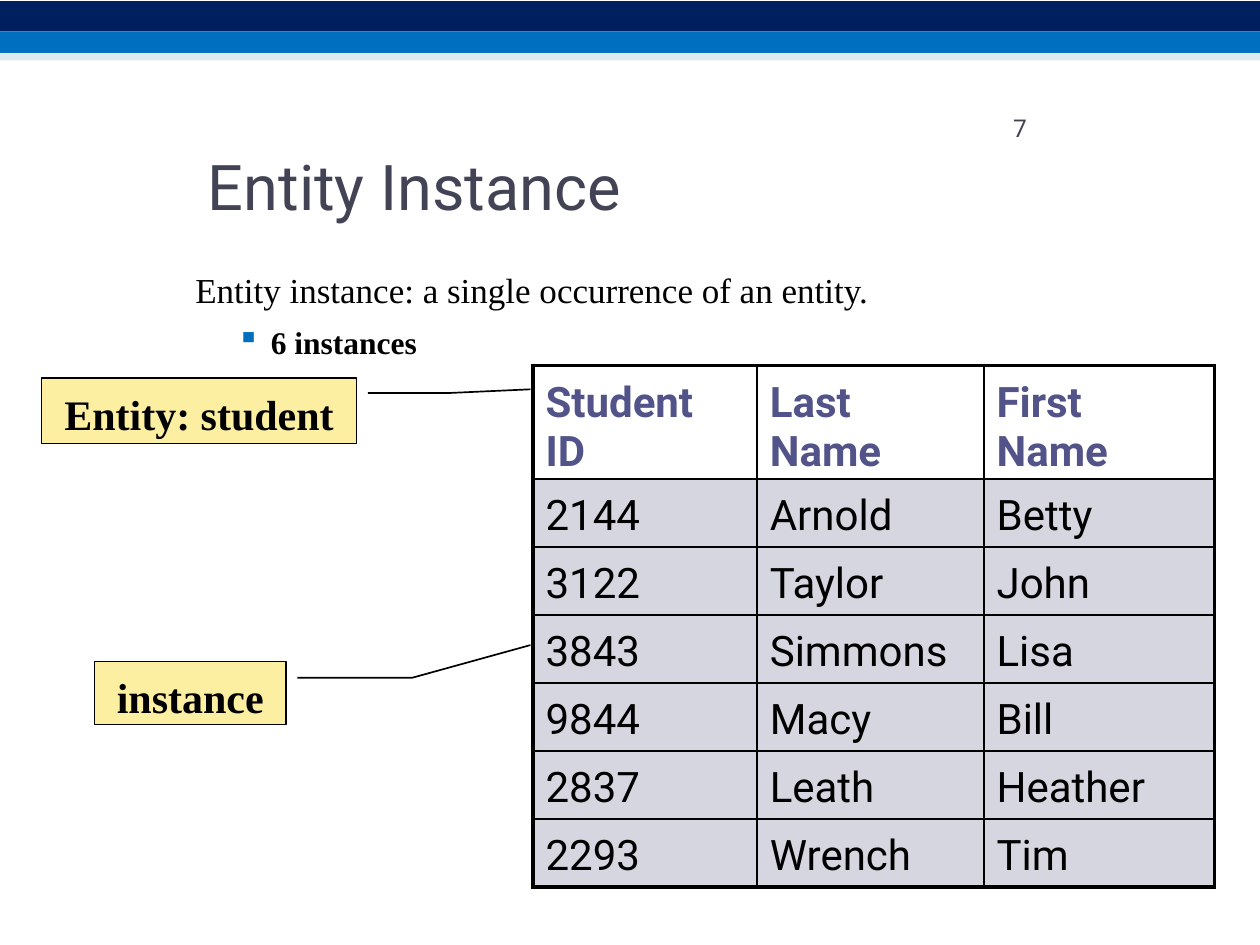
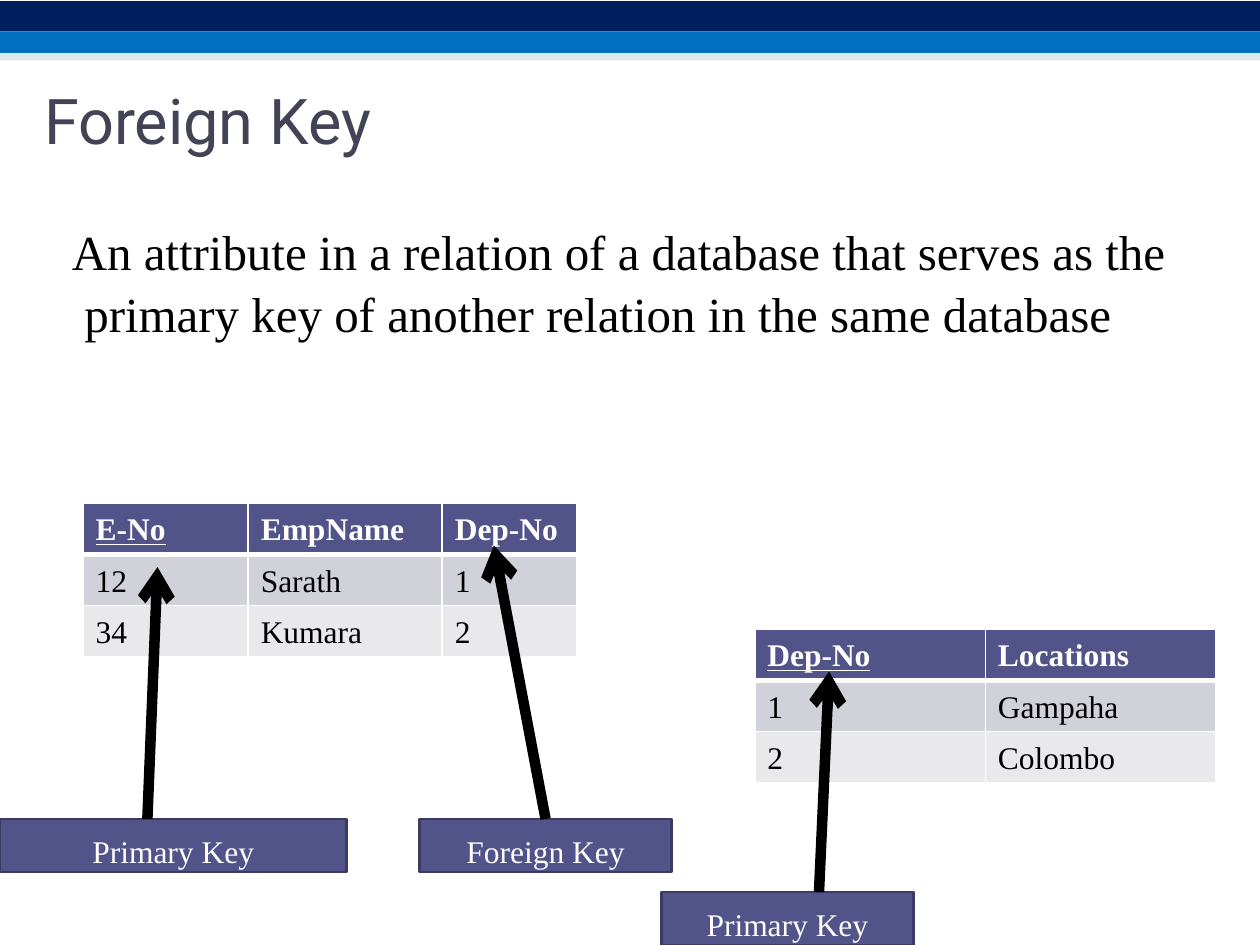
from lxml import etree
from pptx import Presentation
from pptx import util as u
from pptx.dml.color import RGBColor
from pptx.enum import shapes, text
from pptx.oxml.ns import qn

hues = {
    "navy": "001F5F", "blue": "006FC0", "pale": "BDD2E0", "ink": "424455",
    "black": "000000", "white": "FFFFFF", "plum": "525389", "edge": "3A3A63",
    "note": "FDEFA1", "grey": "D5D6DF", "dim": "D1D1DA", "light": "E9E9EC",
}
tint = {name: RGBColor.from_string(code) for name, code in hues.items()}
sans, serif = "Roboto", "Times New Roman"

deck = Presentation()
deck.slide_width, deck.slide_height = u.Inches(10), u.Inches(7.5)
cell_size = deck.slide_width / 100


def grid(*spans):
    return [u.Emu(round(span * cell_size)) for span in spans]


def write(frame, words, size, hue, face, bold=False, top=0.0, left=0.0):
    frame.word_wrap = True
    frame.vertical_anchor = text.MSO_ANCHOR.TOP
    frame.margin_left, frame.margin_top = grid(left, top)
    frame.margin_right = frame.margin_bottom = 0
    frame.text = words
    for line in frame.paragraphs:
        font = line.font
        font.size, font.name, font.bold = u.Pt(size), face, bold
        font.color.rgb = tint[hue]
    return frame.paragraphs[0]


bands = [("navy", 0.1, 2.4), ("blue", 2.5, 1.7), ("pale", 4.2, 0.6)]
titles = [("Entity Instance", 16.5, 11.4), ("Foreign Key", 3.5, 6.2)]
pages = []
for title, x, y in titles:
    page = deck.slides.add_slide(deck.slide_layouts[6])
    for hue, top, tall in bands:
        band = page.shapes.add_shape(shapes.MSO_SHAPE.RECTANGLE, *grid(0, top, 100, tall))
        band.shadow.inherit = False
        band.fill.solid()
        band.fill.fore_color.rgb = tint[hue]
        band.line.fill.background()
        if hue == "pale":
            shade = band.fill._xPr.find(".//" + qn("a:srgbClr"))
            etree.SubElement(shade, qn("a:alpha"), val="50000")
    head = page.shapes.add_textbox(*grid(x, y, 50, 6.3))
    write(head.text_frame, title, 36, "ink", sans, top=0.3)
    pages.append(page)
first, second = pages

num = first.shapes.add_textbox(*grid(80.4, 8.7, 3, 2.6))
write(num.text_frame, "7", 14, "ink", sans, top=0.3)

body = first.shapes.add_textbox(*grid(15.5, 18.9, 60, 8.7)).text_frame
write(body, "Entity instance: a single occurrence of an entity.", 20, "black", serif, top=2.4)
item = body.add_paragraph()
item.text = "6 instances"
item.space_before = u.Pt(7)
props = item._p.get_or_add_pPr()
inset, hang = grid(6, 2.7)
props.set("marL", str(inset))
props.set("indent", str(-hang))
mark = etree.SubElement(props, qn("a:buClr"))
etree.SubElement(mark, qn("a:srgbClr"), val=hues["blue"])
etree.SubElement(props, qn("a:buChar"), char="▪")
item.font.size, item.font.name, item.font.bold = u.Pt(18), serif, True
item.font.color.rgb = tint["black"]

body = second.shapes.add_textbox(*grid(5.7, 17.1, 89, 9.6)).text_frame
line = write(body, "An attribute in a relation of a database that serves as the\v"
             "primary key of another relation in the same database",
             28, "black", serif, top=0.25)
line.line_spacing = 1.05
inset, = grid(1)
line._p.get_or_add_pPr().set("marL", str(inset))
line._p.get_or_add_pPr().set("indent", str(-inset))

pupils = [
    ("Student\vID", "Last\vName", "First\vName"),
    ("2144", "Arnold", "Betty"),
    ("3122", "Taylor", "John"),
    ("3843", "Simmons", "Lisa"),
    ("9844", "Macy", "Bill"),
    ("2837", "Leath", "Heather"),
    ("2293", "Wrench", "Tim"),
]
staff = [("E-No", "EmpName", "Dep-No"), ("12", "Sarath", "1"), ("34", "Kumara", "2")]
depts = [("Dep-No", "Locations"), ("1", "Gampaha"), ("2", "Colombo")]
plain = {"size": 24, "face": sans, "head": "plum", "top": 1.0, "rule": "black",
         "outer": 2.25, "under": 1, "fills": ["white", "grey", "grey"], "key": False}
keyed = {"size": 18, "face": serif, "head": "white", "top": 0.8, "rule": "white",
         "outer": 1, "under": 3, "fills": ["plum", "light", "dim"], "key": True}
tables = [
    (first, pupils, 42.3, 29, [17.8, 18, 18.3], 9, 5.4, plain),
    (second, staff, 6.6, 39.9, [13.1, 15.4, 10.7], 4.1, 4.05, keyed),
    (second, depts, 59.9, 49.9, [18.3, 18.3], 4.1, 4.05, keyed),
]
for page, data, x, y, wide, tall, step, look in tables:
    last_row, last_col = len(data) - 1, len(wide) - 1
    box = grid(x, y, sum(wide), tall + step * last_row)
    table = page.shapes.add_table(len(data), len(wide), *box).table
    table.first_row = table.horz_banding = False
    for col, span in zip(table.columns, grid(*wide)):
        col.width = span
    for r, row in enumerate(data):
        table.rows[r].height, = grid(step if r else tall)
        for c, words in enumerate(row):
            cell = table.cell(r, c)
            cell.margin_left, cell.margin_top = grid(1, look["top"])
            cell.margin_right = cell.margin_bottom = 0
            cell.text = words
            font = cell.text_frame.paragraphs[0].font
            for line in cell.text_frame.paragraphs:
                line.font.size, line.font.name = u.Pt(look["size"]), look["face"]
                line.font.bold = r == 0
                line.font.color.rgb = tint["black" if r else look["head"]]
            font.underline = look["key"] and r == c == 0
            sides = {
                "L": look["outer"] if c == 0 else 1,
                "R": look["outer"] if c == last_col else 1,
                "T": {0: look["outer"], 1: look["under"]}.get(r, 1),
                "B": {0: look["under"], last_row: look["outer"]}.get(r, 1),
            }
            props = cell._tc.get_or_add_tcPr()
            for side, thick in sides.items():
                rule = etree.SubElement(props, qn("a:ln" + side), w=str(u.Pt(thick)))
                paint = etree.SubElement(rule, qn("a:solidFill"))
                etree.SubElement(paint, qn("a:srgbClr"), val=hues[look["rule"]])
            cell.fill.solid()
            shade = look["fills"][0 if r == 0 else 2 - (r + 1) % 2]
            cell.fill.fore_color.rgb = tint[shade]

note = ("note", "black", 0.96, 24, "black", True, 0.8)
tag = ("plum", "edge", 1.56, 18, "white", False, 1.0)
labels = [
    (first, "Entity: student", 3.3, 30, 25, 5.2, note),
    (first, "instance", 7.5, 52.5, 15.2, 5, note),
    (second, "Primary Key", 0, 65, 27.5, 4.2, tag),
    (second, "Foreign Key", 33.3, 65, 20, 4.2, tag),
    (second, "Primary Key", 52.5, 70.8, 20, 4.2, tag),
]
boxes = []
for page, words, x, y, wide, tall, (fill, edge, thick, size, hue, bold, top) in labels:
    box = page.shapes.add_shape(shapes.MSO_SHAPE.RECTANGLE, *grid(x, y, wide, tall))
    box.shadow.inherit = False
    box.fill.solid()
    box.fill.fore_color.rgb = tint[fill]
    box.line.color.rgb, box.line.width = tint[edge], u.Pt(thick)
    line = write(box.text_frame, words, size, hue, serif, bold, top)
    line.alignment = text.PP_ALIGN.CENTER
    boxes.append(box)

leads = [
    [(29.2, 31.2), (35.5, 31.2), (42.1, 30.9)],
    [(23.6, 53.8), (32.7, 53.8), (42.1, 51.2)],
]
for lead in leads:
    start, *rest = [grid(*point) for point in lead]
    path = first.shapes.build_freeform(*start)
    path.add_line_segments(rest, close=False)
    bend = path.convert_to_shape()
    bend.shadow.inherit = False
    bend.fill.background()
    bend.line.color.rgb, bend.line.width = tint["black"], u.Pt(0.96)

arrows = [
    (11.7, 65, 12.5, 45, None),
    (43.3, 65, 39.2, 43.3, boxes[3]),
    (65, 70.8, 65.8, 53.3, None),
]
for *ends, source in arrows:
    arrow = second.shapes.add_connector(shapes.MSO_CONNECTOR.STRAIGHT, *grid(*ends))
    if source:
        arrow.begin_connect(source, 0)
    arrow.line.color.rgb, arrow.line.width = tint["black"], u.Pt(6)
    etree.SubElement(arrow.line._get_or_add_ln(), qn("a:tailEnd"), type="arrow")
    etree.SubElement(arrow._element.spPr, qn("a:effectLst"))

deck.save("out.pptx")
